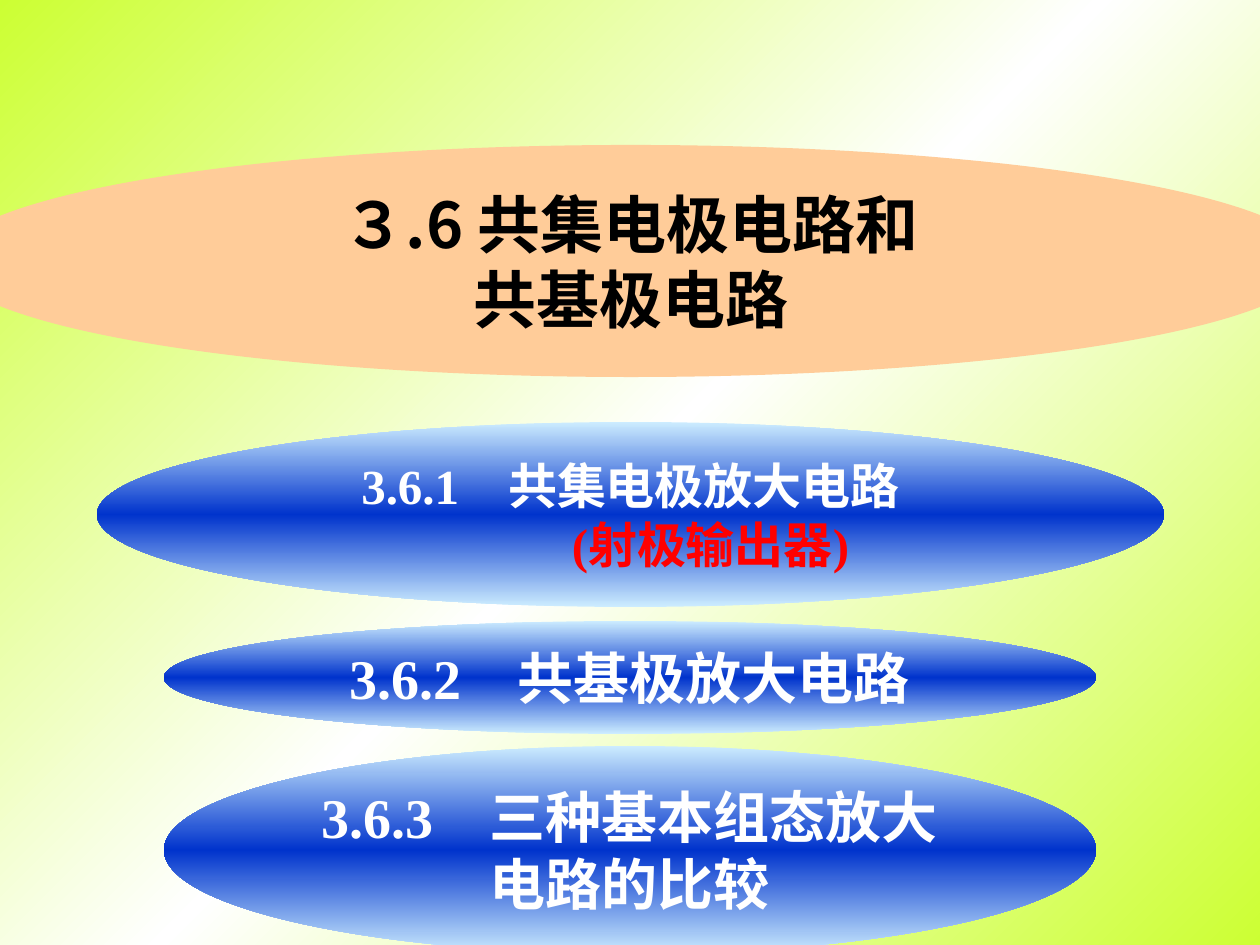
from copy import deepcopy

from lxml.etree import SubElement
from pptx import Presentation
from pptx.dml.color import RGBColor
from pptx.enum.shapes import MSO_SHAPE
from pptx.enum.text import MSO_ANCHOR, MSO_AUTO_SIZE, PP_ALIGN
from pptx.oxml.ns import qn
from pptx.util import Emu, Pt

PX = 914400 / 126
LIME = RGBColor(0xCC, 0xFF, 0x33)
WHITE = RGBColor(0xFF, 0xFF, 0xFF)
BLACK = RGBColor(0, 0, 0)
PEACH = RGBColor(0xFF, 0xCC, 0x99)
SKY = RGBColor(0xCC, 0xEC, 0xFF)
BLUE = RGBColor(0, 0x33, 0xCC)
RED = RGBColor(0xFF, 0, 0)
CJK_FONT = "Noto Sans CJK SC"
SERIF_FONT = "Times New Roman"


def px(length):
    return Emu(round(length * PX))


class SectionPage:
    def __init__(self, deck):
        self.page = deck.slides.add_slide(deck.slide_layouts[5])

    def gradient(self, fill, element, edge, middle, angle):
        fill.gradient()
        fill.gradient_angle = 360 - angle
        stops = next(element.iter(qn("a:gsLst")))
        stops.insert(1, deepcopy(stops[0]))
        for stop, color, position in zip(
            fill.gradient_stops, (edge, middle, edge), (0, 0.5, 1)
        ):
            stop.color.rgb = color
            stop.position = position

    def background(self, edge, middle):
        self.gradient(
            self.page.background.fill, self.page.element, edge, middle, 45
        )

    def ellipse(self, bounds):
        shape = self.page.shapes.add_shape(MSO_SHAPE.OVAL, *map(px, bounds))
        shape.shadow.inherit = False
        shape.line.fill.background()
        return shape

    def set_text(self, shape, lines, size, font_name):
        frame = shape.text_frame
        frame.word_wrap = True
        frame.auto_size = MSO_AUTO_SIZE.NONE
        frame.vertical_anchor = MSO_ANCHOR.MIDDLE
        frame.text = "\n".join(text for text, color, indent in lines)
        for paragraph, (text, color, indent) in zip(frame.paragraphs, lines):
            paragraph.alignment = PP_ALIGN.CENTER
            font = paragraph.font
            font.size = Pt(size)
            font.bold = True
            font.color.rgb = color
            font.name = font_name
            properties = paragraph._p.get_or_add_pPr()
            east_asian = SubElement(properties.find(qn("a:defRPr")), qn("a:ea"))
            east_asian.set("typeface", CJK_FONT)
            if indent:
                properties.set("marL", str(px(indent)))
                properties.set("indent", "0")

    def title(self, bounds, lines):
        oval = self.ellipse(bounds)
        oval.fill.solid()
        oval.fill.fore_color.rgb = PEACH
        title = self.page.shapes.title
        title.left, title.top, title.width, title.height = map(px, bounds)
        self.set_text(title, [(text, BLACK, 0) for text in lines], 36, CJK_FONT)
        oval.element.addnext(title.element)

    def topic(self, bounds, lines, size):
        oval = self.ellipse(bounds)
        self.gradient(oval.fill, oval.element, SKY, BLUE, 90)
        self.set_text(oval, lines, size, SERIF_FONT)


def main():
    deck = Presentation()
    deck.slide_width, deck.slide_height = px(1260), px(945)
    section = SectionPage(deck)
    section.background(LIME, WHITE)
    section.title((-54, 145, 1370, 232), ["３.6 共集电极电路和", "共基极电路"])
    section.topic(
        (97, 422, 1067, 185),
        [("3.6.1　共集电极放大电路", WHITE, 0), ("(射极输出器)", RED, 160)],
        28,
    )
    section.topic((164, 621, 932, 113), [("3.6.2　共基极放大电路", WHITE, 0)], 32)
    section.topic(
        (164, 746, 932, 208), [("3.6.3　三种基本组态放大电路的比较", WHITE, 0)], 32
    )
    deck.save("out.pptx")


if __name__ == "__main__":
    main()
